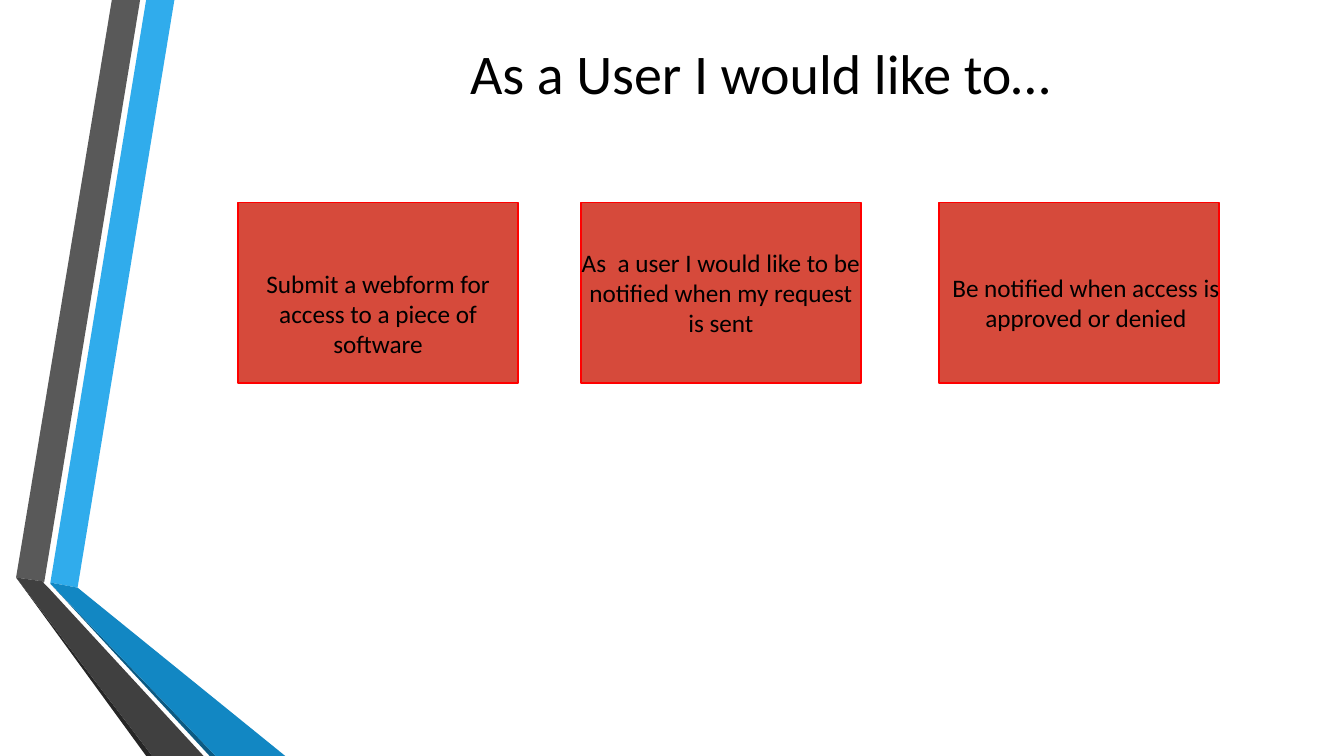
from pptx import Presentation, util as u
from pptx.dml.color import RGBColor
from pptx.enum import shapes, text

# Content: card left, caption left, caption top, caption height, caption
TITLE = "As a User I would like to…"
STORIES = [
    (2.36, 2.25, 2.61, 1.01, "Submit a webform for access to a piece of software"),
    (5.76, 5.65, 2.40, 1.01, "As  a user I would like to be notified when my request is sent"),
    (9.31, 9.27, 2.65, 0.71, "Be notified when access is approved or denied"),
]

# Theme and layout, in inches and points
THEME = dict(font="Calibri", ink="000000", title=40, body=18,
             card="D64A3B", edge="FF0000", edge_width=1.25,
             blue="30ACEC", blue_mid="1287C3", blue_dark="0C5A82",
             grey="595959", grey_mid="404040", grey_dark="262626")
WIDTH, HEIGHT = 13.33, 7.5
CARD_TOP, CARD_W, CARD_H = 2.01, 2.78, 1.79
CAPTION_W = 3

# Folded ribbons on the left, from back to front
RIBBONS = [
    ("blue", [(0.5, 5.78), (0.77, 5.83), (1.73, 0), (1.45, 0)]),
    ("grey", [(1.39, 0), (1.11, 0), (0.16, 5.73), (0.44, 5.77)]),
    ("grey_dark", [(0.16, 5.73), (1.45, HEIGHT), (1.51, HEIGHT)]),
    ("blue_dark", [(0.5, 5.79), (2.08, HEIGHT), (2.14, HEIGHT)]),
    ("blue_mid", [(0.5, 5.79), (2.14, HEIGHT), (2.83, HEIGHT), (0.77, 5.83), (0.5, 5.78)]),
    ("grey_mid", [(2.02, HEIGHT), (0.48, 5.83), (0.43, 5.78), (0.44, 5.77),
                  (0.16, 5.73), (1.51, HEIGHT)]),
]


def color(name):
    return RGBColor.from_string(THEME[name])


def paint(sp, fill, edge=None):
    sp.shadow.inherit = False
    sp.fill.solid()
    sp.fill.fore_color.rgb = color(fill)
    if edge:
        sp.line.color.rgb = color(edge)
        sp.line.width = u.Pt(THEME["edge_width"])
    else:
        sp.line.fill.background()


def add_text(s, words, box, size="body", anchor=text.MSO_ANCHOR.TOP):
    tf = s.shapes.add_textbox(*map(u.Inches, box)).text_frame
    tf.word_wrap = True
    tf.vertical_anchor = anchor
    p = tf.paragraphs[0]
    p.alignment = text.PP_ALIGN.CENTER
    r = p.add_run()
    r.text = words
    r.font.name = THEME["font"]
    r.font.size = u.Pt(THEME[size])
    r.font.color.rgb = color("ink")


def main():
    prs = Presentation()
    prs.slide_width, prs.slide_height = u.Inches(WIDTH), u.Inches(HEIGHT)
    s = prs.slides.add_slide(prs.slide_layouts[6])

    # Ribbons
    for fill, points in RIBBONS:
        start, *rest = [(u.Inches(x), u.Inches(y)) for x, y in points]
        outline = s.shapes.build_freeform(*start)
        outline.add_line_segments(rest, close=True)
        paint(outline.convert_to_shape(), fill)

    # Title
    add_text(s, TITLE, (1.74, 0, 11.6, 1.44), size="title", anchor=text.MSO_ANCHOR.MIDDLE)

    # Story cards with their captions
    for card_left, left, top, height, caption in STORIES:
        box = map(u.Inches, (card_left, CARD_TOP, CARD_W, CARD_H))
        card = s.shapes.add_shape(shapes.MSO_SHAPE.RECTANGLE, *box)
        paint(card, "card", edge="edge")
        add_text(s, caption, (left, top, CAPTION_W, height))

    prs.save("out.pptx")


if __name__ == "__main__":
    main()
